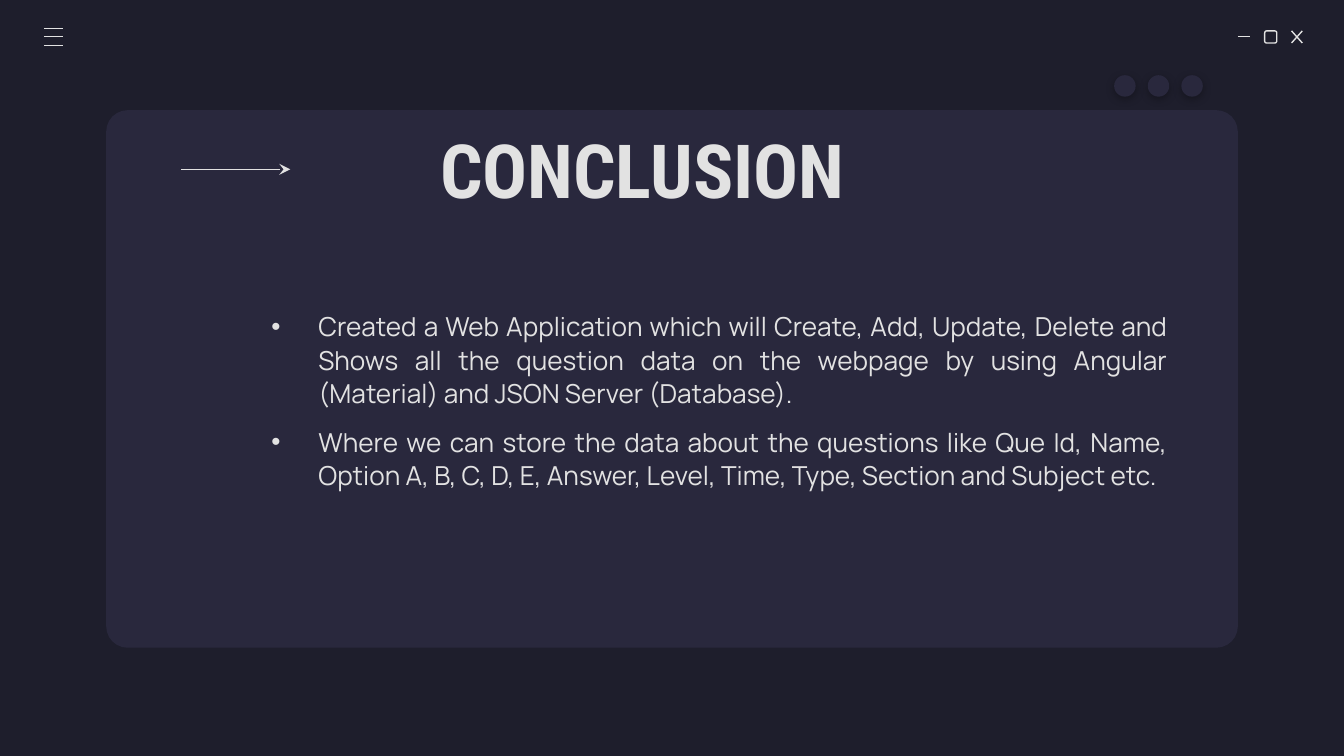
from pptx import Presentation
from pptx import util as u
from pptx.dml.color import RGBColor
from pptx.enum import shapes, text
from pptx.oxml import parse_xml
from pptx.oxml.ns import nsdecls

COLORS = {"back": "1E1E2C", "panel": "29283D", "light": "E2E2E2", "shade": "000000"}
HEAD, BODY = "Roboto Condensed", "Manrope"
POINTS = [
    "Created a Web Application which will Create, Add, Update, Delete and Shows all "
    "the question data on the webpage by using Angular (Material) and JSON Server (Database).",
    "Where we can store the data about the questions like Que Id, Name, Option A, B, C, D, E, "
    "Answer, Level, Time, Type, Section and Subject etc.",
]


def color(name):
    return RGBColor.from_string(COLORS[name])


def node(tag, attrs="", inner=""):
    return parse_xml(f"<a:{tag} {nsdecls('a')} {attrs}>{inner}</a:{tag}>")


class Deck:
    def __init__(self, width, height):
        self.prs = Presentation()
        self.prs.slide_width, self.prs.slide_height = u.Inches(width), u.Inches(height)

    def add(self):
        self.slide = self.prs.slides.add_slide(self.prs.slide_layouts[5])
        fill = self.slide.background.fill
        fill.solid()
        fill.fore_color.rgb = color("back")

    def shape(self, kind, box, fill=None, line=None, adj=None, shade=False):
        item = self.slide.shapes.add_shape(kind, *map(u.Inches, box))
        item.shadow.inherit = False
        if adj is not None:
            item.adjustments[0] = adj
        if fill:
            item.fill.solid()
            item.fill.fore_color.rgb = color(fill)
        else:
            item.fill.background()
        if line:
            item.line.color.rgb = color(line)
            item.line.width = u.Pt(0.75)
        else:
            item.line.fill.background()
        if shade:
            props = item.element.spPr
            props.remove(props[-1])
            tint = f'<a:srgbClr val="{COLORS["shade"]}"><a:alpha val="30000"/></a:srgbClr>'
            glow = (f'<a:outerShdw blurRad="{u.Pt(4.5)}" dist="{u.Pt(1.5)}" '
                    f'dir="5400000" algn="bl" rotWithShape="0">{tint}</a:outerShdw>')
            props.append(node("effectLst", inner=glow))

    def line(self, x1, y1, x2, y2, arrow=False):
        item = self.slide.shapes.add_connector(
            shapes.MSO_CONNECTOR.STRAIGHT, *map(u.Inches, (x1, y1, x2, y2)))
        item.line.color.rgb = color("light")
        item.line.width = u.Pt(0.75)
        if arrow:
            item.line._get_or_add_ln().append(node("tailEnd", 'type="stealth"'))
        item._element.spPr.append(node("effectLst"))

    def style(self, item, font, size, align, bold=False):
        frame = item.text_frame
        frame.word_wrap = True
        frame.auto_size = text.MSO_AUTO_SIZE.NONE
        frame.vertical_anchor = text.MSO_ANCHOR.MIDDLE
        frame.margin_left = frame.margin_right = u.Inches(0.1)
        frame.margin_top = frame.margin_bottom = u.Inches(0.1)
        for para in frame.paragraphs:
            para.alignment = align
            for run in para.runs:
                run.font.name, run.font.size, run.font.bold = font, u.Pt(size), bold
                run.font.color.rgb = color("light")

    def title(self, words, box):
        item = self.slide.shapes.title
        item.left, item.top, item.width, item.height = map(u.Inches, box)
        item.text_frame.text = words
        self.style(item, HEAD, 40, text.PP_ALIGN.CENTER, True)
        # Bring the title in front of the panel
        self.slide.shapes._spTree.append(item._element)

    def bullets(self, lines, box):
        item = self.slide.shapes.add_textbox(*map(u.Inches, box))
        item.text_frame.text = "\n".join(lines)
        self.style(item, BODY, 14, text.PP_ALIGN.JUSTIFY)
        # A deeper bottom margin lifts the centred text
        item.text_frame.margin_bottom = u.Inches(0.44)
        for para in item.text_frame.paragraphs:
            para.line_spacing = 1.07
            para.space_after = u.Pt(8)
            props = para._p.get_or_add_pPr()
            props.set("marL", str(u.Inches(0.5)))
            props.set("indent", str(u.Inches(-0.35)))
            props.append(node("buClr", inner=f'<a:srgbClr val="{COLORS["light"]}"/>'))
            props.append(node("buFont", 'typeface="Arial"'))
            props.append(node("buChar", 'char="\u2022"'))


# Widescreen, 16 to 9
deck = Deck(10, 10 * 9 / 16)
deck.add()
kinds = shapes.MSO_SHAPE

# Panel
deck.shape(kinds.ROUNDED_RECTANGLE, (0.79, 0.82, 8.42, 4), fill="panel", adj=0.04)

# Window buttons
deck.line(9.21, 0.27, 9.3, 0.27)
deck.shape(kinds.ROUNDED_RECTANGLE, (9.41, 0.23, 0.09, 0.09), line="light", adj=0.17)
deck.line(9.61, 0.23, 9.69, 0.32)
deck.line(9.69, 0.23, 9.61, 0.32)

# Menu icon
for y in (0.21, 0.27, 0.34):
    deck.line(0.33, y, 0.47, y)

# Title and arrow
deck.title("CONCLUSION", (2.8, 0.82, 3.96, 0.87))
deck.line(1.35, 1.26, 2.16, 1.26, arrow=True)

# Dots
for i in range(3):
    deck.shape(kinds.OVAL, (8.29 + 0.25 * i, 0.56, 0.16, 0.16), fill="panel", shade=True)

# Points
deck.bullets(POINTS, (1.77, 1.88, 7.02, 2.53))

deck.prs.save("out.pptx")
